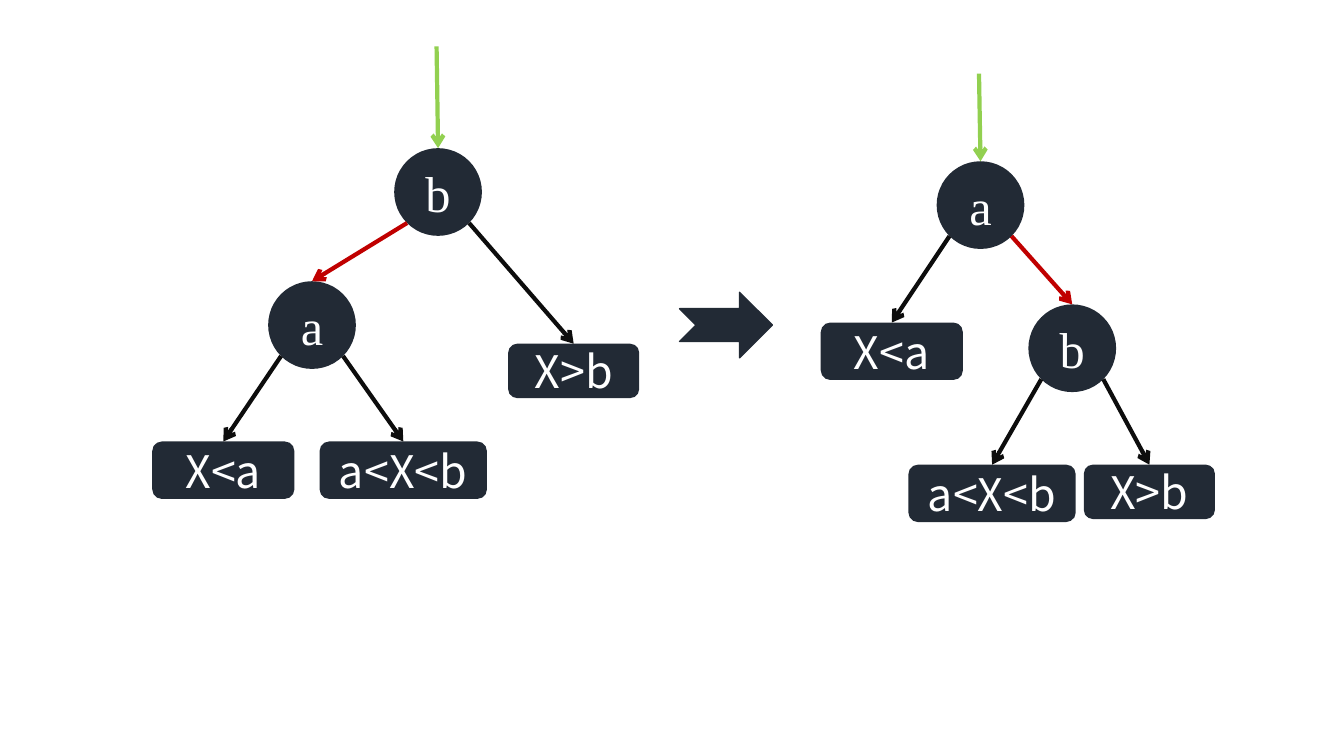
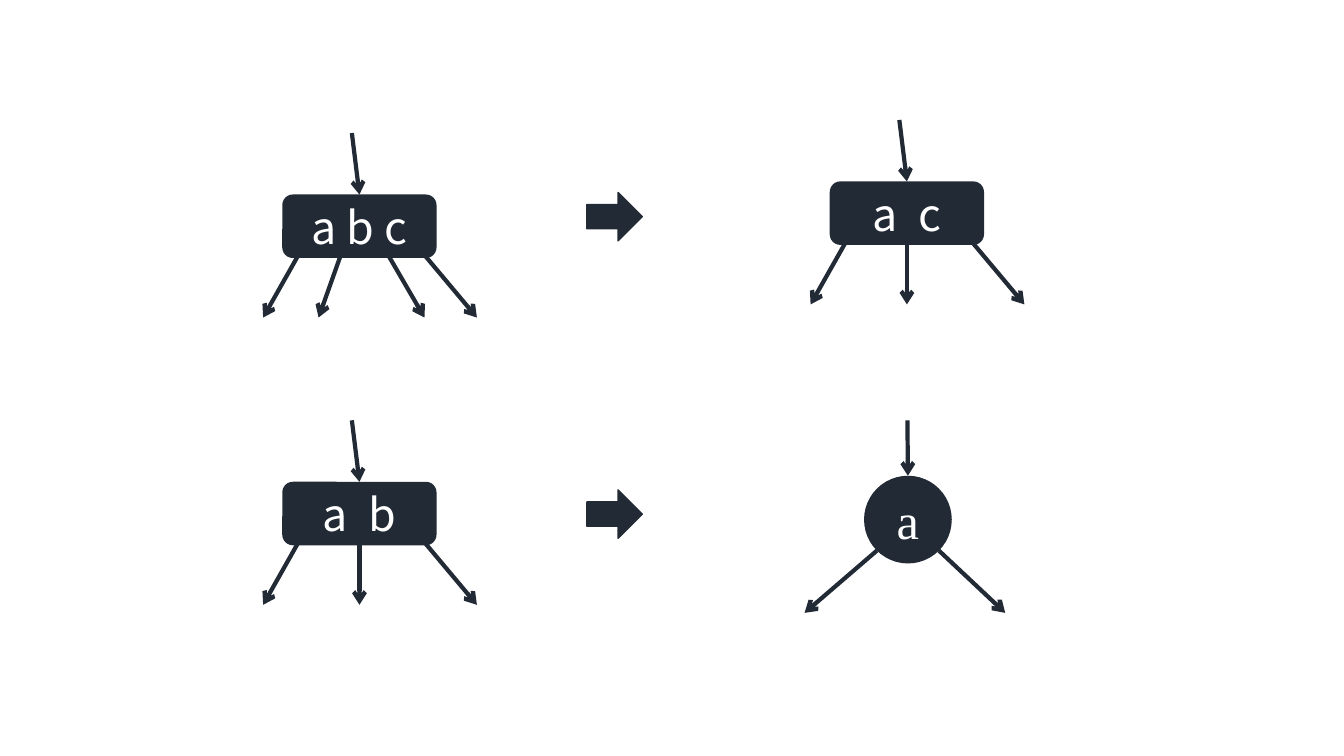
"""Draws tree rotation and key deletion diagrams on two slides."""
import math

from lxml import etree
from pptx import Presentation
from pptx.dml.color import RGBColor
from pptx.enum.shapes import MSO_CONNECTOR, MSO_SHAPE
from pptx.enum.text import MSO_ANCHOR, PP_ALIGN
from pptx.oxml.ns import qn
from pptx.util import Inches, Pt

ROUNDED, OVAL = MSO_SHAPE.ROUNDED_RECTANGLE, MSO_SHAPE.OVAL
RIGHT, NOTCHED = MSO_SHAPE.RIGHT_ARROW, MSO_SHAPE.NOTCHED_RIGHT_ARROW
STRAIGHT = MSO_CONNECTOR.STRAIGHT
MIDDLE, CENTER = MSO_ANCHOR.MIDDLE, PP_ALIGN.CENTER

NAVY = RGBColor(0x22, 0x2A, 0x35)
BLACK = RGBColor(0x0D, 0x0D, 0x0D)
RED = RGBColor(0xC0, 0x00, 0x00)
GREEN = RGBColor(0x92, 0xD0, 0x50)
WHITE = RGBColor(0xFF, 0xFF, 0xFF)
SANS, SERIF = "Noto Sans CJK SC", "Times New Roman"

NODE = 0.87
KEYS_W, KEYS_H = 1.53, 0.63
TOP, BOTTOM = 0, 2
LEFT_SIDE, RIGHT_SIDE = -1, 1
OUTER_LEGS = [(0.16, -0.19), (1.41, 1.93)]
INNER_LEGS = [(0.58, 0.36), (1.05, 1.41)]


class Diagram:
    """Holds the style and the current slide."""

    def __init__(self, prs):
        self.prs = prs
        self.s = None

    def new_slide(self):
        self.s = self.prs.slides.add_slide(self.prs.slide_layouts[6])

    def shape(self, kind, left, top, width, height):
        sp = self.s.shapes.add_shape(
            kind, Inches(left), Inches(top), Inches(width), Inches(height))
        sp.shadow.inherit = False
        sp.fill.solid()
        sp.fill.fore_color.rgb = NAVY
        sp.line.fill.background()
        return sp

    def label(self, sp, text, font, size):
        tf = sp.text_frame
        tf.text = text
        tf.vertical_anchor = MIDDLE
        p = tf.paragraphs[0]
        p.alignment = CENTER
        r = p.runs[0]
        r.font.name = font
        r.font.size = Pt(size)
        r.font.color.rgb = WHITE

    def box(self, text, left, top, width, height):
        sp = self.shape(ROUNDED, left, top, width, height)
        self.label(sp, text, SANS, 32)
        return sp

    def node(self, text, left, top):
        sp = self.shape(OVAL, left, top, NODE, NODE)
        self.label(sp, text, SERIF, 36)
        return sp

    def block_arrow(self, kind, left, top, width, height):
        sp = self.shape(kind, left, top, width, height)
        sp.line.color.rgb = NAVY
        sp.line.width = Pt(1)

    def arrow(self, start, end, color=NAVY):
        """Draws an arrow between points, or from a shape's bottom to a shape's top."""
        x1, y1 = start if isinstance(start, tuple) else (0, 0)
        x2, y2 = end if isinstance(end, tuple) else (0, 0)
        line = self.s.shapes.add_connector(
            STRAIGHT, Inches(x1), Inches(y1), Inches(x2), Inches(y2))
        if not isinstance(start, tuple):
            line.begin_connect(start, BOTTOM)
        if not isinstance(end, tuple):
            line.end_connect(end, TOP)
        line.line.color.rgb = color
        line.line.width = Pt(3)
        ln = line.line._get_or_add_ln()
        etree.SubElement(ln, qn("a:tailEnd"), type="arrow")
        etree.SubElement(line._element.spPr, qn("a:effectLst"))

    def branch(self, node, side, end, color=BLACK):
        """Draws an arrow from the lower left or lower right of a node."""
        reach = NODE / 2 * math.sqrt(0.5)
        x = node.left.inches + NODE / 2 + side * reach
        y = node.top.inches + NODE / 2 + reach
        self.arrow((x, y), end, color)

    def key_box(self, text, left, top, inner_legs=()):
        """Draws a box of keys with its parent and child arrows."""
        sp = self.box(text, left, top, KEYS_W, KEYS_H)
        self.arrow((left + 0.69, top - 0.61), sp)
        for x1, x2 in [*OUTER_LEGS, *inner_legs]:
            self.arrow((left + x1, top + 0.6), (left + x2, top + 1.22))
        if not inner_legs:
            self.arrow(sp, (left + KEYS_W / 2, top + 1.22))


def rotation_slide(d):
    d.new_slide()
    upper, lower = d.node("b", 3.91, 1.47), d.node("a", 2.66, 2.79)
    d.arrow((4.33, 0.46), upper, GREEN)
    d.branch(upper, LEFT_SIDE, lower, RED)
    d.branch(upper, RIGHT_SIDE, d.box("X>b", 5.04, 3.41, 1.3, 0.54))
    d.branch(lower, LEFT_SIDE, d.box("X<a", 1.51, 4.38, 1.41, 0.57))
    d.branch(lower, RIGHT_SIDE, d.box("a<X<b", 3.17, 4.38, 1.66, 0.57))

    d.block_arrow(NOTCHED, 6.74, 2.9, 0.92, 0.65)

    upper, lower = d.node("a", 9.29, 1.6), d.node("b", 10.2, 3.02)
    d.arrow((9.71, 0.73), upper, GREEN)
    d.branch(upper, RIGHT_SIDE, lower, RED)
    d.branch(upper, LEFT_SIDE, d.box("X<a", 8.14, 3.2, 1.41, 0.57))
    d.branch(lower, LEFT_SIDE, d.box("a<X<b", 9.01, 4.61, 1.66, 0.57))
    d.branch(lower, RIGHT_SIDE, d.box("X>b", 10.75, 4.61, 1.3, 0.54))


def deletion_slide(d):
    d.new_slide()
    d.key_box("a b c", 2.8, 1.93, INNER_LEGS)
    d.key_box("a  c", 8.23, 1.8)
    d.key_box("a  b", 2.8, 4.78)
    for top in (1.91, 4.86):
        d.block_arrow(RIGHT, 5.82, top, 0.55, 0.48)

    node = d.node("a", 8.57, 4.72)
    d.arrow((9, 4.17), node)
    d.branch(node, LEFT_SIDE, (7.98, 6.08), NAVY)
    d.branch(node, RIGHT_SIDE, (9.97, 6.08), NAVY)


def main():
    prs = Presentation()
    prs.slide_width, prs.slide_height = Inches(13.33), Inches(7.5)
    d = Diagram(prs)
    rotation_slide(d)
    deletion_slide(d)
    prs.save("out.pptx")


if __name__ == "__main__":
    main()
